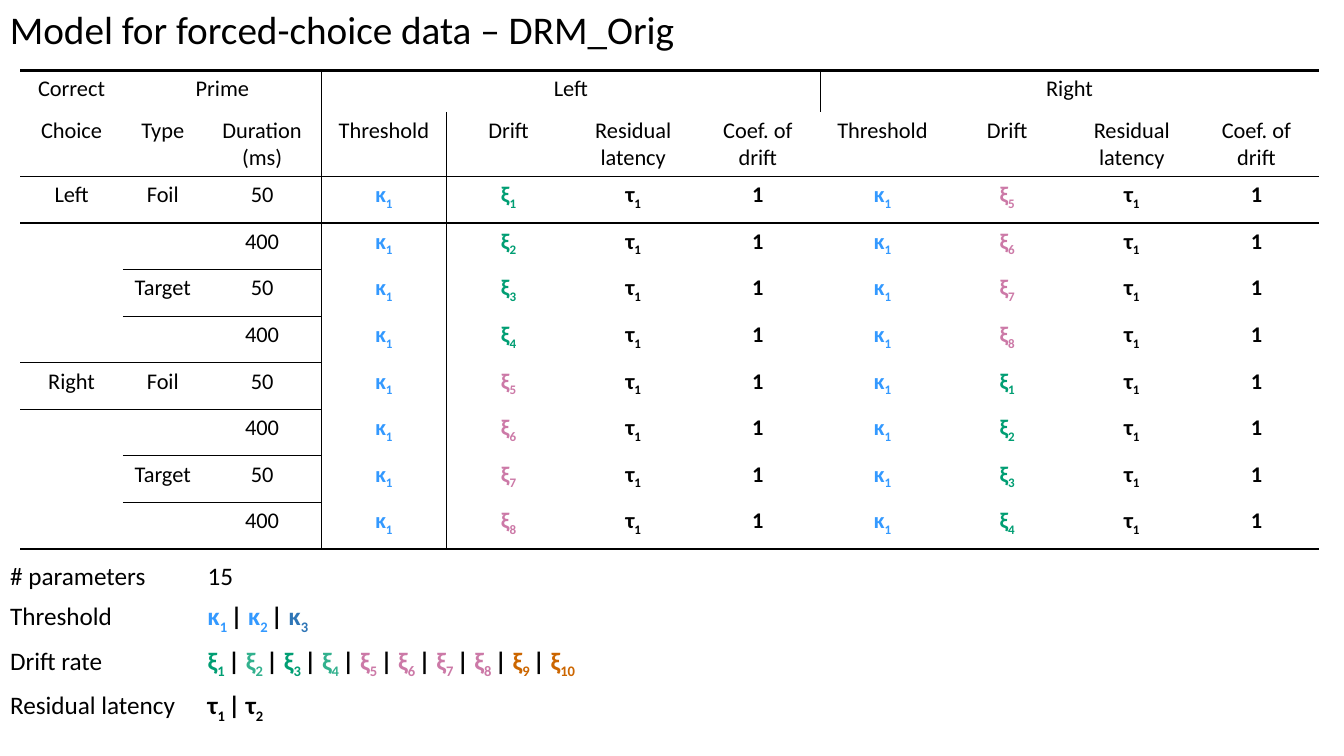
from dataclasses import dataclass

from lxml import etree
from pptx import Presentation
from pptx.dml.color import RGBColor
from pptx.enum.text import MSO_AUTO_SIZE, PP_ALIGN
from pptx.oxml.ns import qn
from pptx.util import Inches, Pt

LEFT, CENTER = PP_ALIGN.LEFT, PP_ALIGN.CENTER
FIT_SHAPE = MSO_AUTO_SIZE.SHAPE_TO_FIT_TEXT
NO_GRID_STYLE = "{2D5ABB26-0587-4C30-8999-92F81FD0307C}"


@dataclass(frozen=True)
class Theme:
    font: str = "Calibri"
    title: int = 28
    model: int = 16
    summary: int = 18
    ink: str = "000000"
    paper: str = "FFFFFF"
    blue: str = "3399FF"
    deep_blue: str = "2E75B6"
    green: str = "009E73"
    light_green: str = "32B18E"
    pink: str = "CC79A7"
    orange: str = "CC6600"
    thick: float = 2.25
    thin: float = 1


@dataclass(frozen=True)
class Box:
    left: float
    top: float
    width: float
    height: float

    def lengths(self):
        return [Inches(n) for n in (self.left, self.top, self.width, self.height)]


@dataclass(frozen=True)
class Span:
    text: str
    color: str
    subscript: bool = False


THEME = Theme()


def symbol(name, index, color):
    return [Span(name, color), Span(str(index), color, True)]


def joined(symbols):
    spans = list(symbols[0])
    for following in symbols[1:]:
        spans += [Span(" ", THEME.ink, True), Span("| ", THEME.ink), *following]
    return spans


def write(frame, content, size, align=LEFT):
    lines = content.split("\n") if isinstance(content, str) else [content]
    for number, line in enumerate(lines):
        para = frame.add_paragraph() if number else frame.paragraphs[0]
        para.alignment = align
        para.font.name = THEME.font
        para.font.size = Pt(size)
        para.font.color.rgb = RGBColor.from_string(THEME.ink)
        if isinstance(line, str):
            para.add_run().text = line
            continue
        para.font.bold = True
        for span in line:
            run = para.add_run()
            run.text = span.text
            run.font.bold = True
            run.font.color.rgb = RGBColor.from_string(span.color)
            if span.subscript:
                run.font._element.set("baseline", "-25000")


def set_borders(cell, widths):
    properties = cell._tc.get_or_add_tcPr()
    drawn = [(side, widths[side]) for side in "LRTB" if widths.get(side)]
    for position, (side, width) in enumerate(drawn):
        line = etree.Element(qn(f"a:ln{side}"), w=str(Pt(width)))
        fill = etree.SubElement(line, qn("a:solidFill"))
        etree.SubElement(fill, qn("a:srgbClr"), val=THEME.ink)
        properties.insert(position, line)


def add_plain_table(page, box, widths, heights):
    table = page.shapes.add_table(len(heights), len(widths), *box.lengths()).table
    table.first_row = False
    table.horz_banding = False
    table._tbl.tblPr.find(qn("a:tableStyleId")).text = NO_GRID_STYLE
    for column, width in zip(table.columns, widths):
        column.width = Inches(width)
    for row, height in zip(table.rows, heights):
        row.height = Inches(height)
    return table


def add_title(page, box):
    frame = page.shapes.add_textbox(*box.lengths()).text_frame
    frame.word_wrap = False
    frame.auto_size = FIT_SHAPE
    write(frame, "Model for forced-choice data – DRM_Orig", THEME.title)


def width_above(row, column):
    if row == 0:
        return THEME.thick
    if row in (2, 10):
        return THEME.thin
    if row == 1 or column > 2:
        return 0
    rows_per_group = (4, 2, 1)[column]
    return 0 if (row - 2) % rows_per_group else THEME.thin


def model_rows():
    measures = ["Threshold", "Drift", "Residual latency", "Coef. of\ndrift"]
    rows = [
        ["Correct", "Prime", "", "Left", "", "", "", "Right", "", "", ""],
        ["Choice", "Type", "Duration (ms)"] + measures * 2,
    ]
    for number in range(8):
        row = [
            "" if number % 4 else ("Left", "Right")[number // 4],
            "" if number % 2 else ("Foil", "Target")[number // 2 % 2],
            ("50", "400")[number % 2],
        ]
        for drift in (number + 1, (number + 4) % 8 + 1):
            row += [
                symbol("κ", 1, THEME.blue),
                symbol("ξ", drift, THEME.green if drift < 5 else THEME.pink),
                symbol("τ", 1, THEME.ink),
                [Span("1", THEME.ink)],
            ]
        rows.append(row)
    return rows


def add_model_table(page, box):
    label_widths = [1.02, 0.79, 1.18]
    measure_width = (box.width - sum(label_widths)) / 8
    header_heights = [0.41, 0.64]
    data_height = (box.height - sum(header_heights)) / 8
    table = add_plain_table(
        page, box,
        label_widths + [measure_width] * 8,
        header_heights + [data_height] * 8,
    )
    for first, last in ((1, 2), (3, 6), (7, 10)):
        table.cell(0, first).merge(table.cell(0, last))
    for row, contents in enumerate(model_rows()):
        for column, content in enumerate(contents):
            cell = table.cell(row, column)
            cell.fill.background()
            set_borders(cell, {
                "L": THEME.thin if column == 3 else 0,
                "R": THEME.thin if column == 2 or (row, column) == (0, 1) else 0,
                "T": width_above(row, column),
                "B": width_above(row + 1, column),
            })
            if content:
                write(cell.text_frame, content, THEME.model, CENTER)


def add_summary_table(page, box):
    threshold_colors = [THEME.blue, THEME.blue, THEME.deep_blue]
    drift_colors = (
        [THEME.green, THEME.light_green] * 2 + [THEME.pink] * 4 + [THEME.orange] * 2
    )
    families = [
        ("Threshold", "κ", threshold_colors),
        ("Drift rate", "ξ", drift_colors),
        ("Residual latency", "τ", [THEME.ink] * 2),
    ]
    rows = [("# parameters", "15")]
    for label, name, colors in families:
        symbols = [symbol(name, index, color) for index, color in enumerate(colors, 1)]
        rows.append((label, joined(symbols)))
    label_width = 1.96
    table = add_plain_table(
        page, box, [label_width, box.width - label_width], [0.4, 0.44, 0.44, 0.44]
    )
    for row, contents in enumerate(rows):
        for column, content in enumerate(contents):
            cell = table.cell(row, column)
            cell.fill.solid()
            cell.fill.fore_color.rgb = RGBColor.from_string(THEME.paper)
            write(cell.text_frame, content, THEME.summary)


def main():
    deck = Presentation()
    deck.slide_width = Inches(13.33)
    deck.slide_height = Inches(7.5)
    page = deck.slides.add_slide(deck.slide_layouts[6])
    add_title(page, Box(0, 0, 6.87, 0.57))
    add_model_table(page, Box(0.2, 0.7, 12.88, 4.75))
    add_summary_table(page, Box(0, 5.52, 13.22, 1.72))
    deck.save("out.pptx")


if __name__ == "__main__":
    main()
